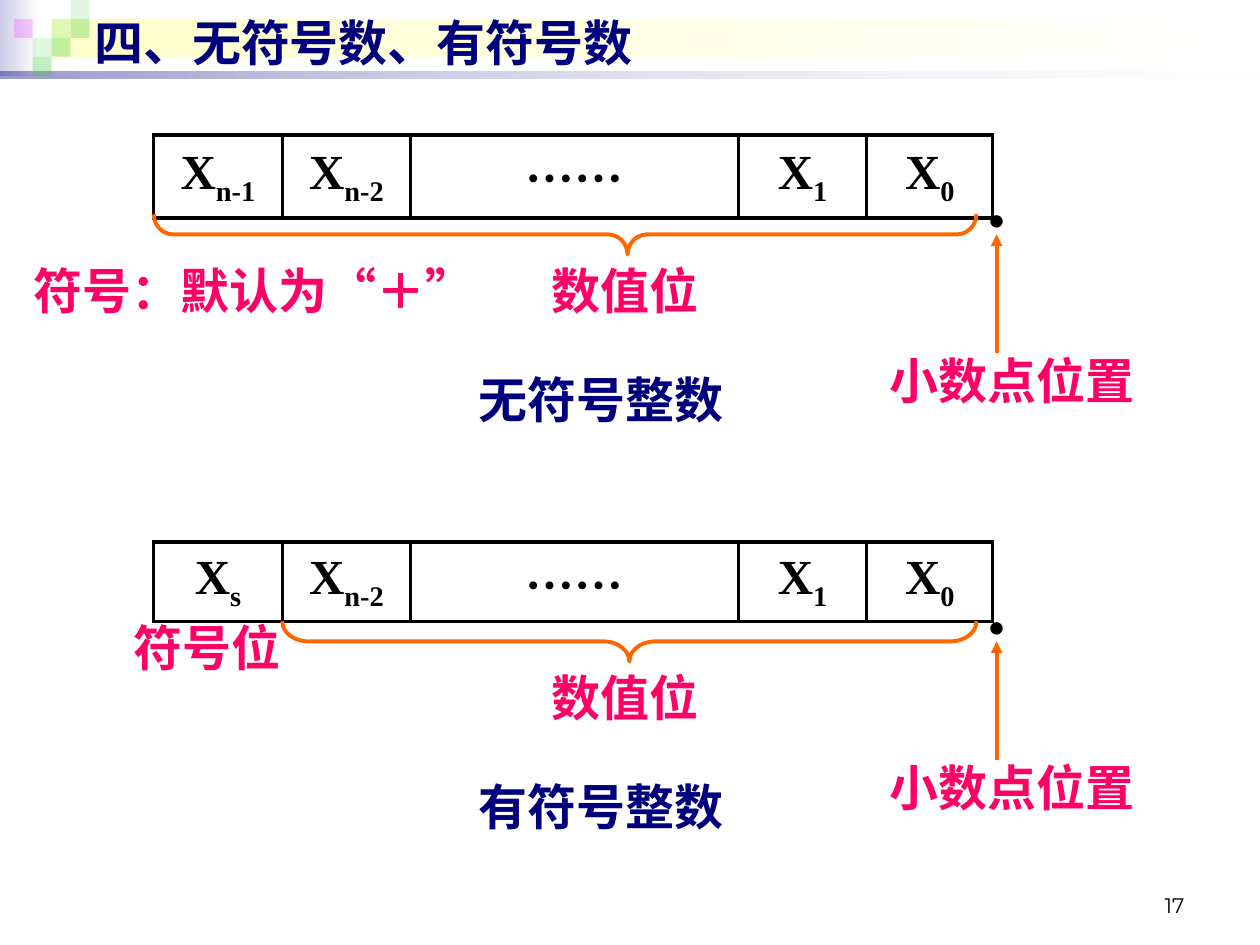
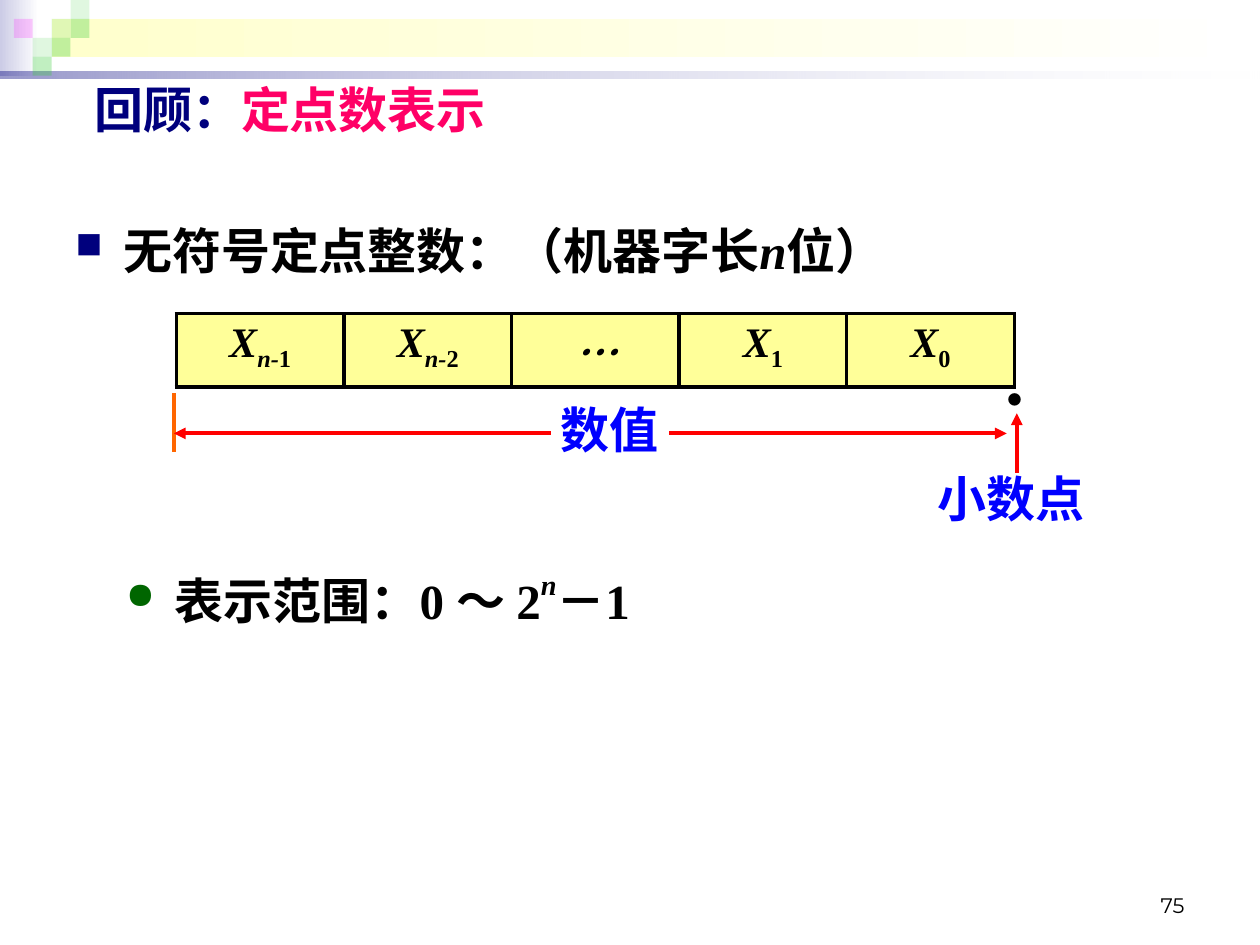
from lxml.etree import SubElement
from pptx import Presentation
from pptx.dml.color import RGBColor
from pptx.enum.shapes import MSO_CONNECTOR, MSO_SHAPE
from pptx.enum.text import MSO_ANCHOR, PP_ALIGN
from pptx.oxml.ns import qn
from pptx.util import Inches, Pt

# ---------- Shared look ----------
COLORS = {
    "navy": "00007D", "pink": "FF0066", "orange": "FF6600", "red": "FF0000",
    "blue": "0000FF", "black": "000000", "white": "FFFFFF", "lavender": "CCCCE6",
    "cream": "FFFFCC", "cell": "FFFF99", "green": "33CC33", "magenta": "FF00FF",
    "dark green": "006600",
}
SERIF, SANS, CJK, NUMBER = "Times New Roman", "Arial", "Noto Sans CJK SC", "Montserrat"
WIDTH, HEIGHT = 10, 7.5
SIZE, LINE, ROW = 28, 2.25, 0.57
BASELINES = {"sub": "-25000", "sup": "50000"}

# Bands: left, top, width, height, start colour, end colour, start and end opacity
BANDS = [
    (0, 0, 0.31, 0.6, "lavender", "white", 100, 100),
    (0.41, 0.15, 9.55, 0.3, "cream", "white", 100, 100),
    (0, 0.57, WIDTH, 0.05, "navy", "white", 40, 10),
]
# Mosaic tiles: column, row, colour, opacity
TILE, MOSAIC_LEFT = 0.15, 0.11
MOSAIC = [
    (2, 1, "green", 15), (3, 0, "green", 15), (3, 1, "green", 30), (1, 2, "green", 15),
    (0, 1, "magenta", 20), (2, 2, "green", 30), (1, 3, "green", 30),
]

# ---------- Content: a run is (text, marks) ----------
DOTS = [("……", "cjk")]
X1, X0 = [("X", ""), ("1", "sub")], [("X", ""), ("0", "sub")]
XN2 = [("X", ""), ("n-2", "sub")]
POINT = "·"

INTEGERS = [
    dict(top=1.07, row=0.66, caption="无符号整数", brace=(1.22, 0.485, 0.576),
         cells=[[("X", ""), ("n-1", "sub")], XN2, DOTS, X1, X0],
         sign=("符号：默认为“＋”", 0.17, 2.02, 3.88, PP_ALIGN.LEFT)),
    dict(top=4.3, row=0.63, caption="有符号整数", brace=(2.24, 0.648, 0.5),
         cells=[[("X", ""), ("s", "sub")], XN2, DOTS, X1, X0],
         sign=("符号位", 0.9, 4.85, 1.49, PP_ALIGN.CENTER)),
]
REGISTER_COLUMNS = [1.02, 1.02, 2.6, 1.02, 1]

FIXED_POINT_CELLS = [
    [("X", "i"), ("n-", "i sub"), ("1", "sub")],
    [("X", "i"), ("n-", "i sub"), ("2", "sub")],
    [("…", "i cjk")],
    [("X", "i"), ("1", "sub")],
    [("X", "i"), ("0", "sub")],
]
# Bullets: top, text indent, hanging, symbol, colour, runs
BULLETS = [
    (1.7, 0.38, 0.38, "■", "navy",
     [("无符号定点整数：（机器字长", ""), ("n", "i"), ("位）", "")]),
    (4.45, 0.79, 0.39, "●", "dark green",
     [("表示范围：0 ～ 2", ""), ("n", "i sup"), ("－1", "")]),
]


def rgb(name):
    return RGBColor.from_string(COLORS[name])


def add_run(paragraph, text, color="black", marks="", size=SIZE, font=SERIF, bold=True):
    run = paragraph.add_run()
    run.text = text
    marks = marks.split()
    run.font.size, run.font.bold, run.font.italic = Pt(size), bold, "i" in marks
    run.font.color.rgb = rgb(color)
    run.font.name = CJK if "cjk" in marks else font
    properties = run.font._element
    SubElement(properties, qn("a:ea")).set("typeface", CJK)
    for mark in marks:
        if mark in BASELINES:
            properties.set("baseline", BASELINES[mark])


def add_text(slide, left, top, width, runs, height=ROW, align=PP_ALIGN.CENTER,
             anchor=MSO_ANCHOR.TOP, **style):
    """Place one paragraph; each run is (text, colour, marks)."""
    frame = slide.shapes.add_textbox(
        Inches(left), Inches(top), Inches(width), Inches(height)).text_frame
    frame.word_wrap, frame.vertical_anchor = True, anchor
    paragraph = frame.paragraphs[0]
    paragraph.alignment = align
    for text, color, marks in runs:
        add_run(paragraph, text, color, marks, **style)
    return paragraph


def add_label(slide, text, color, left, top, width, align=PP_ALIGN.CENTER, marks=""):
    add_text(slide, left, top, width, [(text, color, marks)], align=align)


def add_line(slide, start, end, color, arrow=True):
    line = slide.shapes.add_connector(
        MSO_CONNECTOR.STRAIGHT, *(Inches(v) for v in (*start, *end)))
    line.line.color.rgb, line.line.width = rgb(color), Pt(LINE)
    if arrow:
        SubElement(line.line._get_or_add_ln(), qn("a:tailEnd")).set("type", "triangle")
    SubElement(line._element.spPr, qn("a:effectLst"))


def add_block(slide, left, top, width, height, start, end, opacities):
    """Borderless rectangle: solid, or a left-to-right gradient when end is given."""
    block = slide.shapes.add_shape(
        MSO_SHAPE.RECTANGLE, Inches(left), Inches(top), Inches(width), Inches(height))
    block.shadow.inherit = False
    block.line.fill.background()
    if end:
        block.fill.gradient()
        block.fill.gradient_angle = 0
        for stop, name in zip(block.fill.gradient_stops, (start, end)):
            stop.color.rgb = rgb(name)
    else:
        block.fill.solid()
        block.fill.fore_color.rgb = rgb(start)
    for color, opacity in zip(block._element.spPr.iter(qn("a:srgbClr")), opacities):
        if opacity < 100:
            SubElement(color, qn("a:alpha")).set("val", str(opacity * 1000))


def add_register(slide, left, top, columns, row, contents, size=SIZE, fill=None,
                 anchor=MSO_ANCHOR.MIDDLE):
    """One-row table of bit cells with a full black grid."""
    table = slide.shapes.add_table(1, len(columns), Inches(left), Inches(top),
                                   Inches(sum(columns)), Inches(row)).table
    table.first_row = table.horz_banding = False
    for column, width, cell, runs in zip(table.columns, columns, table.rows[0].cells, contents):
        column.width = Inches(width)
        cell.vertical_anchor = anchor
        for side in ("lnL", "lnR", "lnT", "lnB"):
            border = SubElement(cell._tc.get_or_add_tcPr(), qn(f"a:{side}"), w=str(Pt(LINE)))
            solid = SubElement(border, qn("a:solidFill"))
            SubElement(solid, qn("a:srgbClr")).set("val", COLORS["black"])
        if fill:
            cell.fill.solid()
            cell.fill.fore_color.rgb = rgb(fill)
        else:
            cell.fill.background()
        paragraph = cell.text_frame.paragraphs[0]
        paragraph.alignment = PP_ALIGN.CENTER
        for text, marks in runs:
            add_run(paragraph, text, marks=marks, size=size)


def add_brace(slide, left, right, top, curve, tip):
    depth, span = 0.32, right - left
    brace = slide.shapes.add_shape(
        MSO_SHAPE.LEFT_BRACE, Inches((left + right - depth) / 2),
        Inches(top + (depth - span) / 2), Inches(depth), Inches(span))
    brace.rotation = 270
    brace.adjustments[0], brace.adjustments[1] = curve, tip
    brace.shadow.inherit = False
    brace.fill.background()
    brace.line.color.rgb, brace.line.width = rgb("orange"), Pt(LINE)


def add_bullet(slide, top, indent, hanging, symbol, color, runs):
    paragraph = add_text(slide, 0.5, top, 9.15, [], align=PP_ALIGN.LEFT)
    properties = paragraph._p.get_or_add_pPr()
    properties.set("marL", str(Inches(indent)))
    properties.set("indent", str(-Inches(hanging)))
    bullet_color = SubElement(properties, qn("a:buClr"))
    SubElement(bullet_color, qn("a:srgbClr")).set("val", COLORS[color])
    SubElement(properties, qn("a:buSzPct")).set("val", "75000")
    SubElement(properties, qn("a:buChar")).set("char", symbol)
    for text, marks in runs:
        add_run(paragraph, text, marks=marks)


def new_slide(deck, title, title_top, number):
    slide = deck.slides.add_slide(deck.slide_layouts[6])
    for left, top, width, height, start, end, *opacities in BANDS:
        add_block(slide, left, top, width, height, start, end, opacities)
    for column, row, color, opacity in MOSAIC:
        add_block(slide, MOSAIC_LEFT + column * TILE, row * TILE, TILE, TILE,
                  color, None, [opacity])
    add_text(slide, 7.17, 6.83, 2.33, [(number, "black", "")], height=0.5,
             align=PP_ALIGN.RIGHT, anchor=MSO_ANCHOR.BOTTOM, size=12, font=NUMBER, bold=False)
    add_text(slide, 0.65, title_top, 9, [(text, color, "") for text, color in title],
             align=PP_ALIGN.LEFT, anchor=MSO_ANCHOR.MIDDLE, font=SANS)
    return slide


def build_integers(deck):
    slide = new_slide(deck, [("四、无符号数、有符号数", "navy")], 0.05, "17")
    for integer in INTEGERS:
        top = integer["top"]
        add_register(slide, 1.22, top, REGISTER_COLUMNS, integer["row"], integer["cells"])
        # Value bits
        left, curve, tip = integer["brace"]
        add_brace(slide, left, 7.75, top + 0.63, curve, tip)
        add_label(slide, "数值位", "pink", 3.74, top + 0.95, 2.44)
        # Radix point
        add_label(slide, POINT, "black", 7.6, top + 0.4, 0.63, marks="cjk")
        add_line(slide, (7.91, top + 1.73), (7.91, top + 0.79), "orange")
        add_label(slide, "小数点位置", "pink", 6.81, top + 1.66, 2.44)
        # Sign and caption
        sign, sign_left, sign_top, sign_width, align = integer["sign"]
        add_label(slide, sign, "pink", sign_left, sign_top, sign_width, align)
        add_label(slide, integer["caption"], "navy", 2.72, top + 1.81, 4.1)


def build_fixed_point(deck):
    slide = new_slide(deck, [("回顾：", "navy"), ("定点数表示", "pink")], 0.58, "75")
    for bullet in BULLETS:
        add_bullet(slide, *bullet)
    add_register(slide, 1.4, 2.49, [1.33] * 5, 0.58, FIXED_POINT_CELLS, size=24,
                 fill="cell", anchor=MSO_ANCHOR.TOP)
    # Radix point
    add_label(slide, POINT, "black", 7.76, 2.88, 0.55, marks="cjk")
    add_line(slide, (8.07, 3.75), (8.07, 3.28), "red")
    add_label(slide, "小数点", "blue", 7.2, 3.67, 1.65)
    # Extent of the value
    add_line(slide, (1.38, 3.12), (1.38, 3.59), "orange", arrow=False)
    add_label(slide, "数值", "blue", 4.21, 3.12, 1.26)
    for start, end in ((4.37, 1.38), (5.31, 7.99)):
        add_line(slide, (start, 3.44), (end, 3.44), "red")


def main():
    deck = Presentation()
    deck.slide_width, deck.slide_height = Inches(WIDTH), Inches(HEIGHT)
    build_integers(deck)
    build_fixed_point(deck)
    deck.save("out.pptx")


if __name__ == "__main__":
    main()
